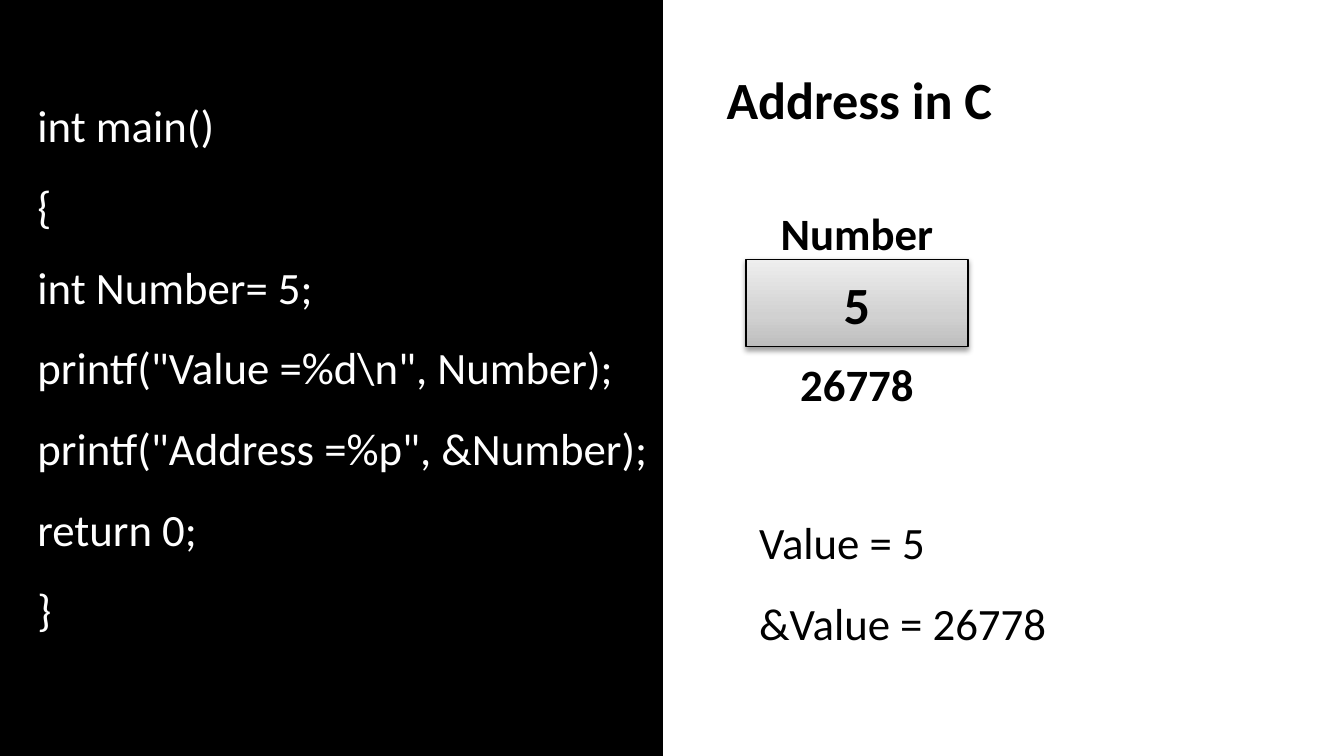
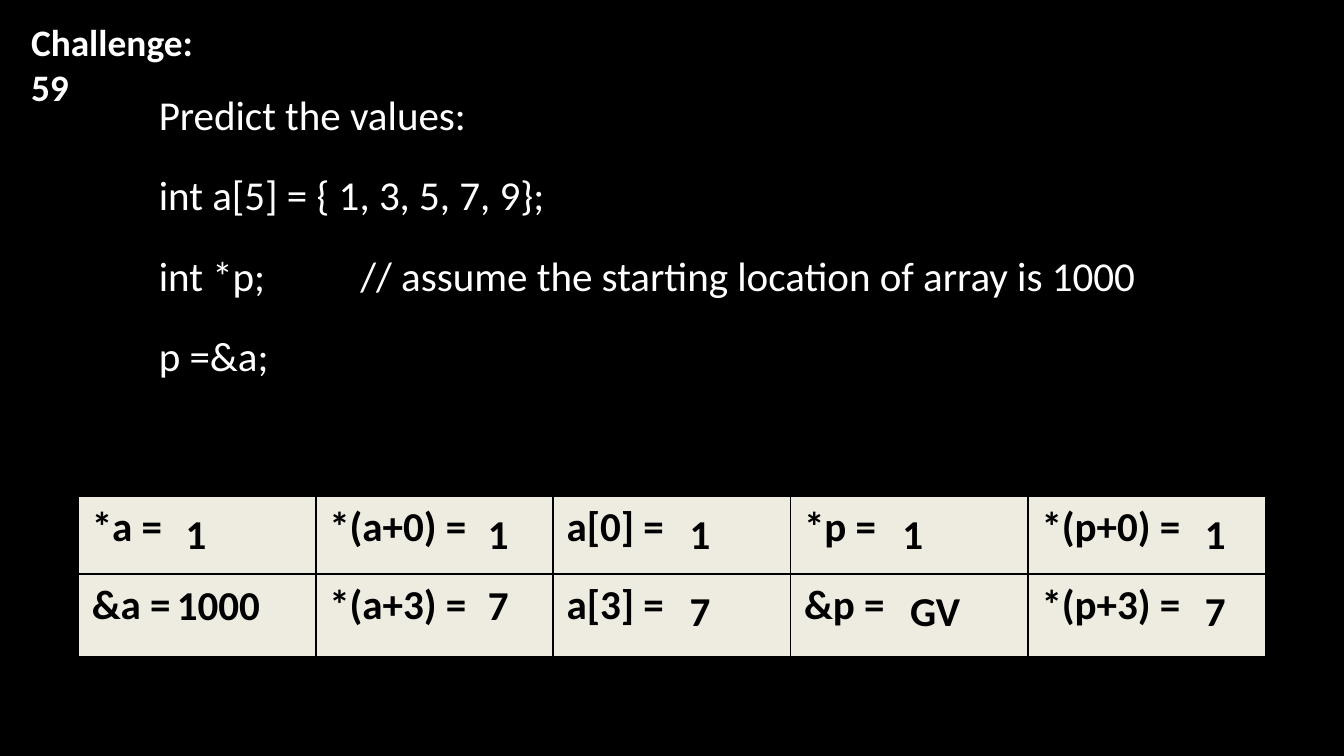
from copy import deepcopy

from lxml.etree import SubElement
from pptx import Presentation
from pptx.dml.color import RGBColor
from pptx.enum.shapes import MSO_SHAPE
from pptx.enum.text import MSO_ANCHOR, MSO_AUTO_SIZE, PP_ALIGN
from pptx.oxml.ns import qn
from pptx.util import Pt

WIDTH, HEIGHT = 720, 405
FONT = "Calibri"
BLACK, WHITE, CELL_FILL = "000000", "FFFFFF", "EEECE1"
BOX_GRADIENT = [(0, "BDBDBD"), (0.35, "D1D1D1"), (1, "EEEEEE")]

ADDRESS_CODE = [
    "int main()",
    "{",
    "int Number= 5;",
    'printf("Value =%d\\n", Number);',
    'printf("Address =%p", &Number);',
    "return 0;",
    "}",
]
CHALLENGE_CODE = [
    "Predict the values:",
    "int a[5] = { 1, 3, 5, 7, 9};",
    "int *p;\t\t// assume the starting location of array is 1000",
    "p =&a;",
]
# Expression, answer, and the answer's offset from the table's corner
CHALLENGE_ROWS = [
    [("*a =", "1", 30, 3), ("*(a+0) =", "1", 192, 3), ("a[0] =", "1", 300, 3),
     ("*p =", "1", 414, 3), ("*(p+0) =", "1", 576, 3)],
    [("&a =", "1000", 42, 41), ("*(a+3) =", "7", 192, 41), ("a[3] =", "7", 300, 44.6),
     ("&p =", "GV", 426, 44.6), ("*(p+3) =", "7", 576, 44.6)],
]


# Shared helpers
def color(hex_string):
    return RGBColor.from_string(hex_string)


def points(*lengths):
    return [Pt(length) for length in lengths]


def write(frame, lines, size, ink=BLACK, bold=False, align=PP_ALIGN.LEFT,
          line_spacing=None, space_before=0):
    frame.word_wrap = True
    for index, line in enumerate(lines):
        paragraph = frame.paragraphs[0] if index == 0 else frame.add_paragraph()
        paragraph.text = line
        paragraph.alignment = align
        paragraph.line_spacing = line_spacing
        paragraph.space_before = Pt(space_before if index else 0)
        font = paragraph.font
        font.name, font.size, font.bold = FONT, Pt(size), bold
        font.color.rgb = color(ink)


def add_text(slide, box, lines, size, **style):
    text_box = slide.shapes.add_textbox(*points(*box))
    write(text_box.text_frame, lines, size, **style)


def add_title(slide, box, text, size, ink):
    title = slide.shapes.title
    title.left, title.top, title.width, title.height = points(*box)
    frame = title.text_frame
    frame.auto_size = MSO_AUTO_SIZE.NONE
    frame.vertical_anchor = MSO_ANCHOR.TOP
    write(frame, [text], size, ink=ink, bold=True)


def add_rectangle(slide, box, line_width):
    rectangle = slide.shapes.add_shape(MSO_SHAPE.RECTANGLE, *points(*box))
    rectangle.shadow.inherit = False
    rectangle.line.color.rgb = color(BLACK)
    rectangle.line.width = Pt(line_width)
    return rectangle


def add_black_panel(slide, box):
    panel = add_rectangle(slide, box, 2)
    panel.fill.solid()
    panel.fill.fore_color.rgb = color(BLACK)
    slide.shapes.title.element.addprevious(panel.element)


# Variable drawn as a memory cell
def set_gradient(shape, stops):
    shape.fill.gradient()
    shape.fill.gradient_angle = 90
    stop_list = shape.element.spPr.find(".//" + qn("a:gsLst"))
    stop_list.insert(1, deepcopy(stop_list[0]))
    for stop, (position, hex_string) in zip(shape.fill.gradient_stops, stops):
        stop.position = position
        stop.color.rgb = color(hex_string)


def add_soft_shadow(shape):
    effects = shape.element.spPr.find(qn("a:effectLst"))
    shadow = SubElement(effects, qn("a:outerShdw"), blurRad=str(Pt(3.1)),
                        dist=str(Pt(1.6)), dir="5400000", rotWithShape="0")
    tint = SubElement(shadow, qn("a:srgbClr"), val=BLACK)
    SubElement(tint, qn("a:alpha"), val="38000")


def add_memory_cell(slide, box, name, value, address):
    left, top, width, height = box
    cell = add_rectangle(slide, box, 0.75)
    set_gradient(cell, BOX_GRADIENT)
    add_soft_shadow(cell)
    cell.text_frame.vertical_anchor = MSO_ANCHOR.MIDDLE
    write(cell.text_frame, [value], 28, bold=True, align=PP_ALIGN.CENTER)
    for label, label_top in ((name, top - 32.4), (address, top + height + 2)):
        add_text(slide, (left, label_top, width, 36), [label], 24,
                 bold=True, align=PP_ALIGN.CENTER)


# Table of expressions with the answers laid over it
def style_cell(cell):
    properties = cell._tc.get_or_add_tcPr()
    for side in ("lnL", "lnR", "lnT", "lnB"):
        border = SubElement(properties, qn("a:" + side), w=str(Pt(1)))
        fill = SubElement(border, qn("a:solidFill"))
        SubElement(fill, qn("a:srgbClr"), val=BLACK)
    cell.fill.solid()
    cell.fill.fore_color.rgb = color(CELL_FILL)


def add_answer_table(slide, box, rows, row_heights):
    left, top, width, height = box
    column_count = len(rows[0])
    table = slide.shapes.add_table(len(rows), column_count, *points(*box)).table
    table.first_row = table.horz_banding = False
    for column in table.columns:
        column.width = Pt(width / column_count)
    for row_index, row in enumerate(rows):
        table.rows[row_index].height = Pt(row_heights[row_index])
        for column_index, (expression, answer, across, down) in enumerate(row):
            cell = table.cell(row_index, column_index)
            style_cell(cell)
            write(cell.text_frame, [expression], 22, bold=True)
            add_text(slide, (left + across, top + down, 66, 34), [answer], 22,
                     bold=True, align=PP_ALIGN.CENTER)


# Slides
def build_address_slide(slide):
    add_black_panel(slide, (0, 0, 354, HEIGHT))
    add_title(slide, (382, 32.4, 221, 41), "Address in C", 28, BLACK)
    add_memory_cell(slide, (399.6, 139, 119, 46.8), "Number", "5", "26778")
    add_text(slide, (399.6, 258, 204, 94), ["Value = 5", "&Value = 26778"], 24,
             line_spacing=1.5)
    add_text(slide, (13, 34.6, 377, 312), ADDRESS_CODE, 24, ink=WHITE,
             line_spacing=1.5)


def build_challenge_slide(slide):
    add_black_panel(slide, (0, 0, WIDTH, HEIGHT))
    add_title(slide, (9.4, 6.5, 112, 56), "Challenge: 59", 20, WHITE)
    add_text(slide, (78, 31, 606, 183), CHALLENGE_CODE, 22, ink=WHITE,
             line_spacing=1.5, space_before=3.6)
    add_answer_table(slide, (42, 265.7, 636, 86.4), CHALLENGE_ROWS, (41.8, 44.6))


def main():
    presentation = Presentation()
    presentation.slide_width, presentation.slide_height = points(WIDTH, HEIGHT)
    title_only = presentation.slide_layouts[5]
    for build in (build_address_slide, build_challenge_slide):
        build(presentation.slides.add_slide(title_only))
    presentation.save("out.pptx")


if __name__ == "__main__":
    main()
